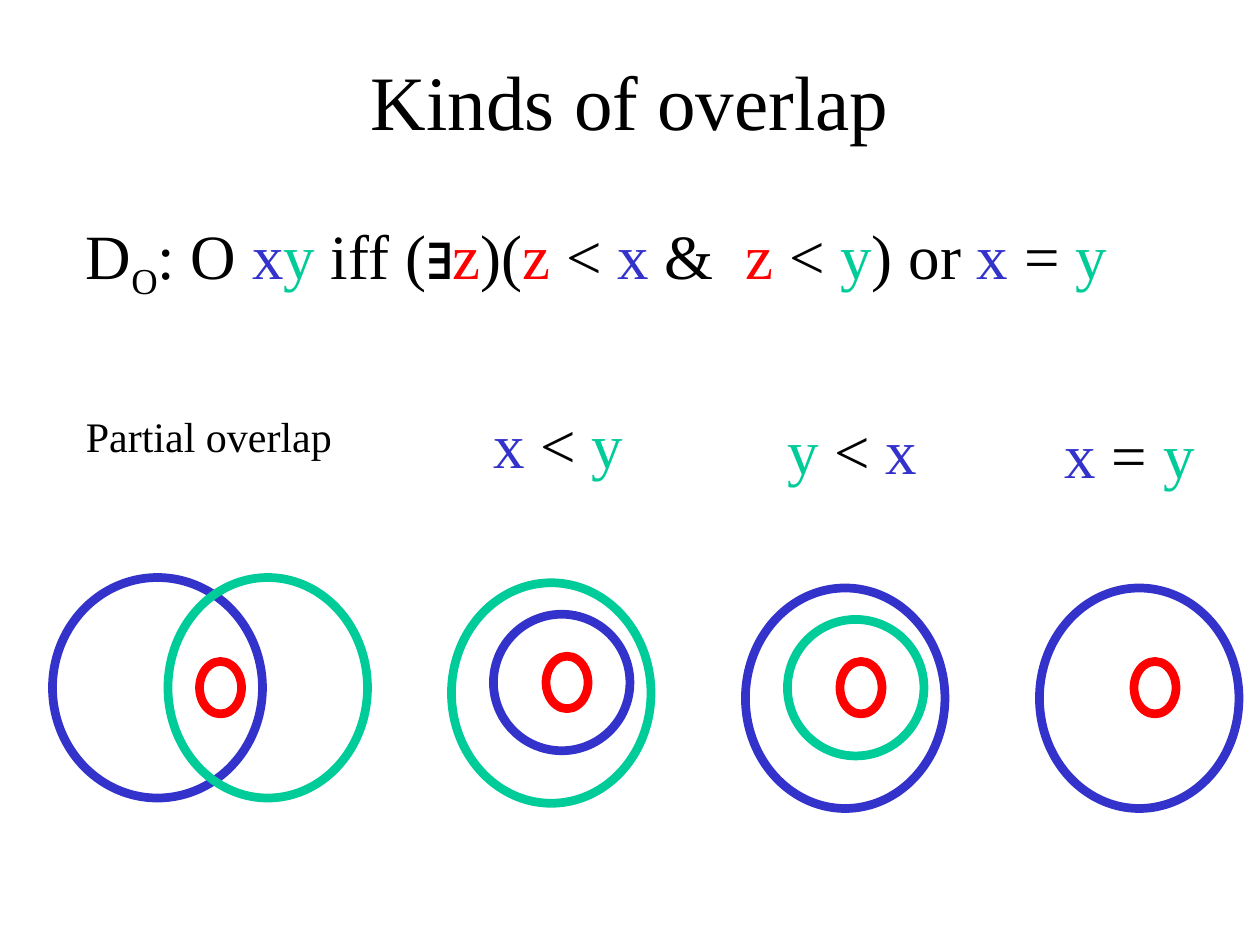
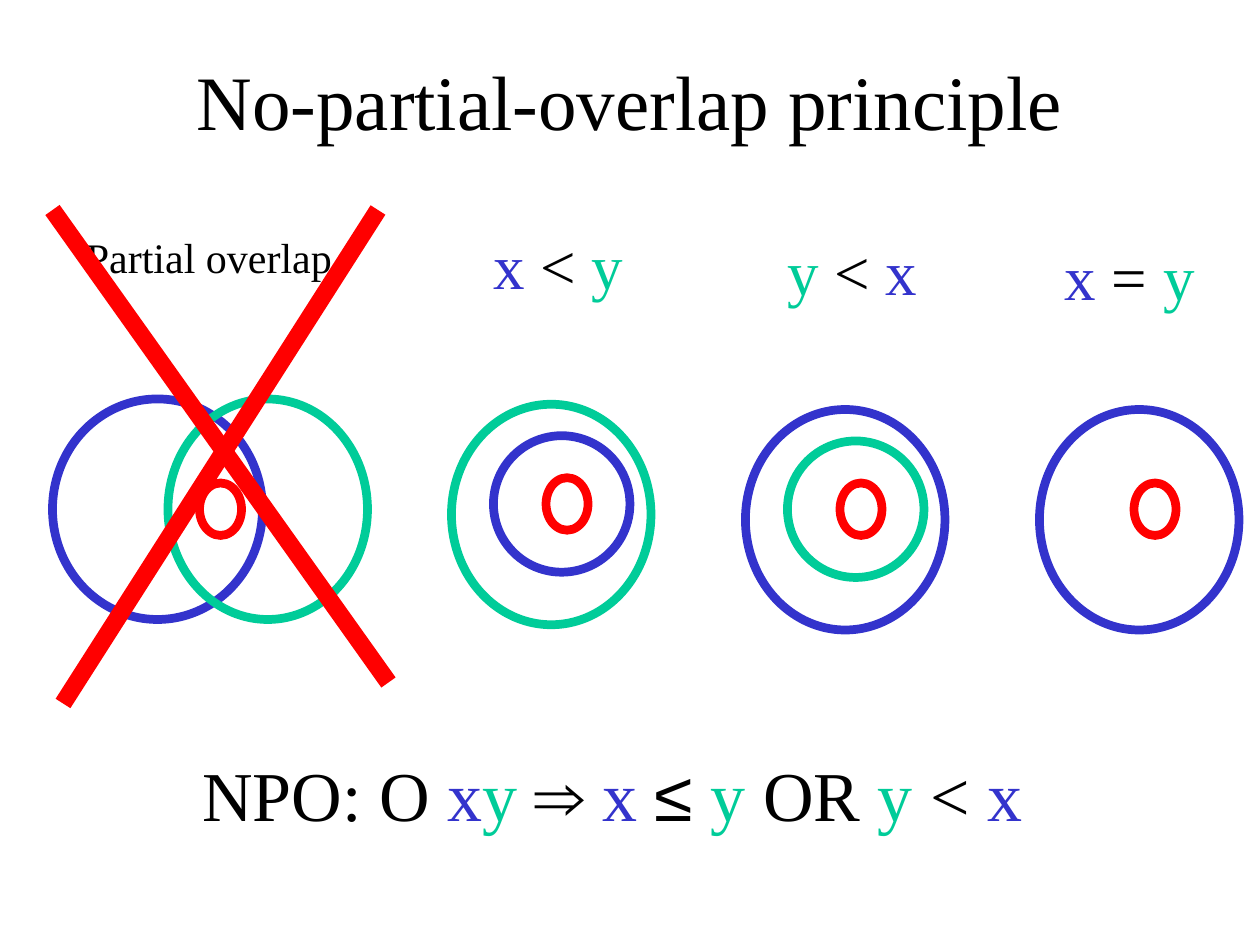
from itertools import groupby

from lxml import etree
from pptx import Presentation
from pptx.dml.color import RGBColor
from pptx.enum.shapes import MSO_CONNECTOR, MSO_SHAPE
from pptx.enum.text import MSO_ANCHOR, MSO_AUTO_SIZE, PP_ALIGN
from pptx.oxml.ns import qn
from pptx.util import Inches, Pt

OVAL = MSO_SHAPE.OVAL
LINE = MSO_CONNECTOR.STRAIGHT
MIDDLE = MSO_ANCHOR.MIDDLE
GROW = MSO_AUTO_SIZE.SHAPE_TO_FIT_TEXT
LEFT, CENTER = PP_ALIGN.LEFT, PP_ALIGN.CENTER

BLACK = RGBColor(0x00, 0x00, 0x00)
BLUE = RGBColor(0x33, 0x33, 0xCC)
GREEN = RGBColor(0x00, 0xCC, 0x99)
RED = RGBColor(0xFF, 0x00, 0x00)

SERIF, SANS = "Times New Roman", "Arial"
INKS = {"x": BLUE, "y": GREEN, "z": RED}    # each variable has its colour
SIGNS = "∃⇒≤"                               # set in the sans font

# The grid has 120 columns and 90 rows on a 10 x 7.5 inch slide
WIDTH, HEIGHT = Inches(10), Inches(7.5)
COLS, ROWS = 120, 90


def across(cols):
    return round(WIDTH * cols / COLS)


def down(rows):
    return round(HEIGHT * rows / ROWS)


def place(col, row, wide, high):
    return across(col), down(row), across(wide), down(high)


def write(shapes, box, text, size, wrap=False, align=LEFT, sub=None):
    """Write a line with coloured variables; sub is the lowered letter's index."""
    frame = shapes.add_textbox(*place(*box)).text_frame
    frame.word_wrap = wrap
    frame.auto_size = GROW
    para = frame.paragraphs[0]
    para.alignment = align
    para.font.size = Pt(size)
    para.font.name = SERIF
    para.font.color.rgb = BLACK

    def style(item):
        spot, char = item
        return INKS.get(char), char in SIGNS, spot == sub

    for (ink, sign, low), part in groupby(enumerate(text), style):
        run = para.add_run()
        run.text = "".join(char for _, char in part)
        if ink:
            run.font.color.rgb = ink
        if sign:
            run.font.name = SANS
        if low:
            run.font._element.set("baseline", "-25000")
    return frame


def title(slide, text):
    frame = write(slide.shapes, (9, 2, 102, 15), text, 44, True, CENTER)
    frame.auto_size = MSO_AUTO_SIZE.NONE
    frame.vertical_anchor = MIDDLE


def ring(shapes, box, ink):
    oval = shapes.add_shape(OVAL, *place(*box))
    oval.shadow.inherit = False
    oval.fill.background()
    oval.line.color.rgb = ink
    oval.line.width = Pt(5)


def stroke(shapes, start, end):
    line = shapes.add_connector(LINE, across(start[0]), down(start[1]),
                                across(end[0]), down(end[1]))
    line.line.color.rgb = RED
    line.line.width = Pt(10)
    etree.SubElement(line._element.spPr, qn("a:effectLst"))


def partial(slide, top):
    """Two crossing rings with a shared part."""
    shapes = slide.shapes.add_group_shape().shapes
    ring(shapes, (5, top + 16.5, 20, 21), BLUE)
    ring(shapes, (16, top + 16.5, 19, 21), GREEN)
    ring(shapes, (19, top + 24.5, 4, 5), RED)
    write(shapes, (7, top, 25.8, 6), "Partial overlap", 24)


def nested(slide, col, row, outer, inner, label, spot):
    """An outer ring, perhaps an inner one, and a common part."""
    shapes = slide.shapes.add_group_shape().shapes
    if inner:
        ring(shapes, (col + 4, row + 3, 13, 13), inner)
    ring(shapes, (col, row, 19, 21), outer)
    ring(shapes, (col + 9, row + 7, 4, 5), RED)
    write(shapes, (*spot, 14.8, 8.4), label, 36)


def kinds(slide, top):
    """The four kinds of overlap, side by side."""
    partial(slide, top)
    nested(slide, 43, top + 17, GREEN, BLUE, "x < y", (45.8, top - 0.5))
    nested(slide, 71, top + 17.5, BLUE, GREEN, "y < x", (73.8, top + 0.1))
    nested(slide, 99, top + 17.5, BLUE, None, "x = y", (100.2, top + 0.5))


def cross(slide):
    shapes = slide.shapes.add_group_shape().shapes
    stroke(shapes, (5, 20), (37, 65))
    stroke(shapes, (36, 20), (6, 67))


def main():
    deck = Presentation()
    deck.slide_width, deck.slide_height = WIDTH, HEIGHT
    blank = deck.slide_layouts[6]

    # Kinds of overlap
    slide = deck.slides.add_slide(blank)
    title(slide, "Kinds of overlap")
    write(slide.shapes, (7, 20, 109, 9.5),
          "DO: O xy iff (∃z)(z < x &  z < y) or x = y", 36, True, sub=1)
    kinds(slide, 38.5)

    # No-partial-overlap principle
    slide = deck.slides.add_slide(blank)
    title(slide, "No-partial-overlap principle")
    write(slide.shapes, (18.1, 71, 82.8, 9.2),
          "NPO: O xy ⇒ x ≤ y OR y < x", 40, True)
    kinds(slide, 21.5)
    cross(slide)

    deck.save("out.pptx")


if __name__ == "__main__":
    main()
